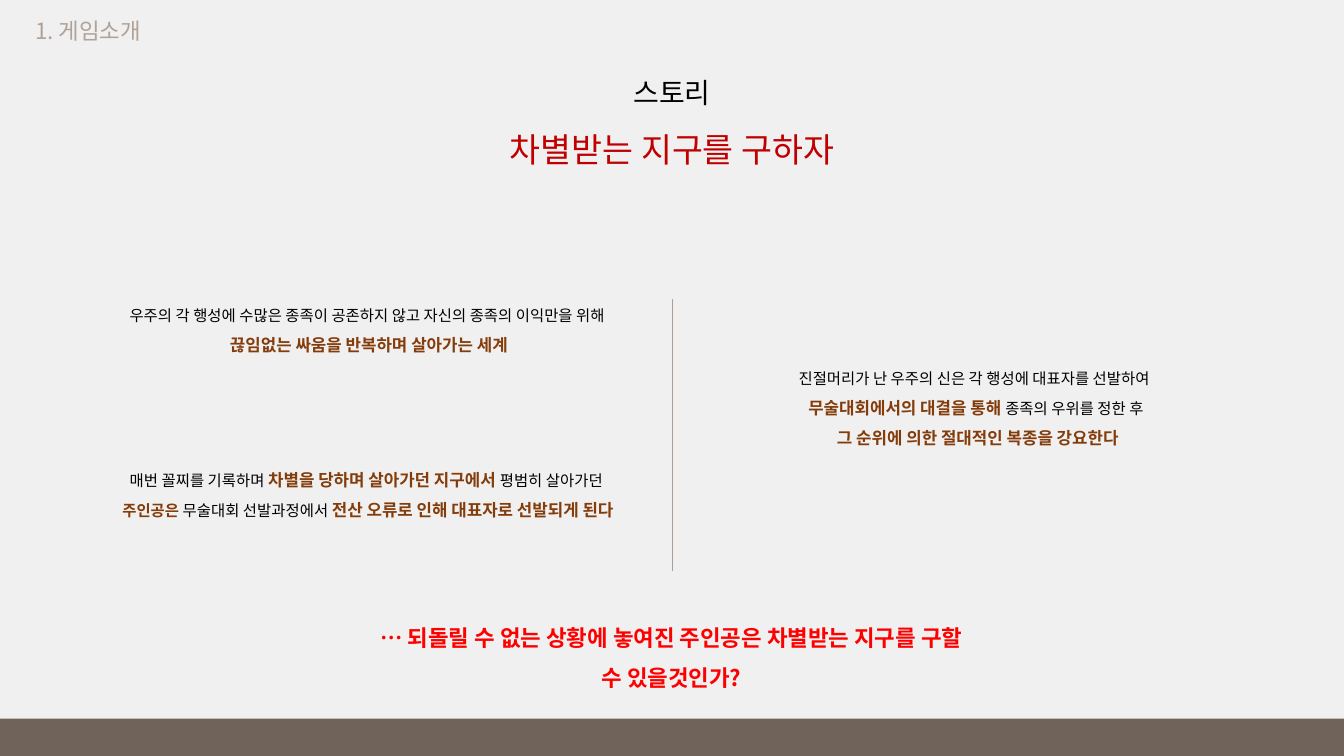
from lxml import etree
from pptx import Presentation
from pptx.dml.color import RGBColor
from pptx.enum.shapes import MSO_CONNECTOR, MSO_SHAPE
from pptx.enum.text import MSO_AUTO_SIZE, PP_ALIGN
from pptx.oxml.ns import qn
from pptx.util import Inches, Pt

RECTANGLE = MSO_SHAPE.RECTANGLE
STRAIGHT = MSO_CONNECTOR.STRAIGHT
CENTER, LEFT = PP_ALIGN.CENTER, PP_ALIGN.LEFT
GROW = MSO_AUTO_SIZE.SHAPE_TO_FIT_TEXT

FONT = "Noto Sans CJK KR"
PAPER = RGBColor(0xF0, 0xF0, 0xF0)
FOOTER = RGBColor(0x70, 0x63, 0x5A)
DIVIDER = RGBColor(0xAD, 0x9F, 0x95)
SECTION = RGBColor(0xAF, 0xA2, 0x99)
BLACK = RGBColor(0x00, 0x00, 0x00)
CRIMSON = RGBColor(0xC0, 0x00, 0x00)
RED = RGBColor(0xFF, 0x00, 0x00)
BROWN = RGBColor(0x84, 0x3C, 0x0B)

PLAIN = (11, BLACK, False)
STRONG = (12, BROWN, True)
HERO = (11, BROWN, True)

prs = Presentation()
prs.slide_width, prs.slide_height = Inches(13.33), Inches(7.5)
slide = prs.slides.add_slide(prs.slide_layouts[6])


def add_text(left, top, width, height, lines, align=CENTER, spacing=1.5, wrap=True):
    box = slide.shapes.add_textbox(Inches(left), Inches(top), Inches(width), Inches(height))
    frame = box.text_frame
    frame.word_wrap = wrap
    frame.auto_size = GROW
    for index, line in enumerate(lines):
        paragraph = frame.paragraphs[0] if index == 0 else frame.add_paragraph()
        paragraph.alignment = align
        paragraph.line_spacing = spacing
        for text, (size, color, bold) in line:
            run = paragraph.add_run()
            run.text = text
            run.font.name = FONT
            run.font.size = Pt(size)
            run.font.bold = bold
            run.font.color.rgb = color
            etree.SubElement(run._r.get_or_add_rPr(), qn("a:ea"), typeface=FONT)


for top, height, color in [(0, 7.5, PAPER), (7.13, 0.37, FOOTER)]:
    band = slide.shapes.add_shape(RECTANGLE, 0, Inches(top), prs.slide_width, Inches(height))
    band.shadow.inherit = False
    band.fill.solid()
    band.fill.fore_color.rgb = color
    band.line.fill.background()

add_text(3.81, 0.53, 5.71, 1.14, [
    [("스토리", (20, BLACK, False))],
    [("차별받는 지구를 구하자", (24, CRIMSON, False))],
])
add_text(3.65, 6.01, 6.02, 0.86, [
    [("… 되돌릴 수 없는 상황에 놓여진 주인공은 차별받는 지구를 구할 수 있을것인가?", (16, RED, True))],
])

divider = slide.shapes.add_connector(STRAIGHT, Inches(6.67), Inches(2.97), Inches(6.67), Inches(5.66))
divider.line.color.rgb = DIVIDER
divider.line.width = Pt(0.5)
etree.SubElement(divider._element.spPr, qn("a:effectLst"))

add_text(0.65, 2.9, 6.02, 0.64, [
    [("우주의 각 행성에 수많은 종족이 공존하지 않고 자신의 종족의 이익만을 위해 ", PLAIN)],
    [("끊임없는 싸움을 반복하며 살아가는 세계", STRONG)],
])
add_text(6.67, 3.52, 6.02, 0.95, [
    [("진절머리가 난 우주의 신은 각 행성에 대표자를 선발하여 ", PLAIN)],
    [("무술대회에서의 대결을 통해 ", STRONG), ("종족의 우위를 정한 후", PLAIN)],
    [(" 그 순위에 의한 절대적인 복종을 강요한다", STRONG)],
])
add_text(0.64, 4.51, 6.02, 0.67, [
    [("매번 꼴찌를 기록하며 ", PLAIN), ("차별을 당하며 살아가던 지구에서 ", STRONG), ("평범히 살아가던 ", PLAIN)],
    [("주인공은 ", HERO), ("무술대회 선발과정에서 ", PLAIN), ("전산 오류로 인해 대표자로 선발되게 된다", STRONG)],
])
add_text(0.25, 0.12, 1.35, 0.37, [[("1. 게임소개", (16, SECTION, False))]], LEFT, 1.0, False)

prs.save("out.pptx")
